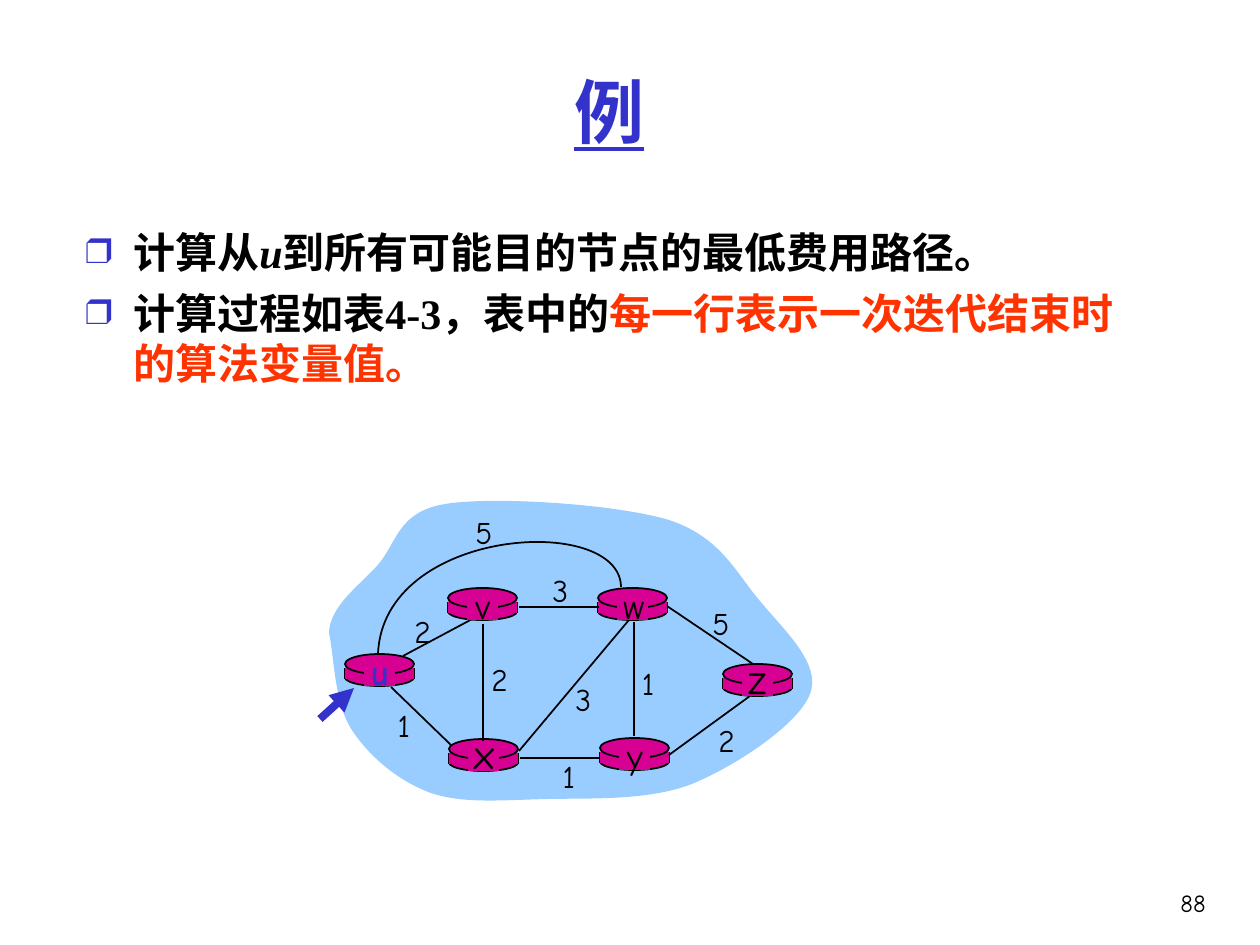
"""Build the slide showing the shortest-path example network."""
from dataclasses import dataclass
from typing import Any, NamedTuple

import pptx
import pptx.dml.color
import pptx.enum.shapes
import pptx.enum.text
import pptx.oxml
import pptx.oxml.ns
import pptx.util

SCALE = 914400 / 126
SHAPE = pptx.enum.shapes.MSO_SHAPE
ALIGN = pptx.enum.text.PP_ALIGN
ANCHOR = pptx.enum.text.MSO_ANCHOR
NS = pptx.oxml.ns.nsdecls("a")


@dataclass(frozen=True)
class Theme:
    black: str = "000000"
    blue: str = "3333CC"
    red: str = "FF3300"
    cloud: str = "99CCFF"
    router: str = "D60093"
    serif: str = "Times New Roman"
    comic: str = "Comic Neue"
    title: int = 40
    body: int = 24
    cost: int = 18
    number: int = 14
    thin: float = 1
    thick: float = 4.5


T = Theme()


class Router(NamedTuple):
    name: str
    x: int
    y: int
    size: int = 20


class Edge(NamedTuple):
    x1: int
    y1: int
    x2: int
    y2: int


class Cost(NamedTuple):
    text: str
    center: int
    top: int


class Piece(NamedTuple):
    text: str
    color: str = T.black
    italic: bool = False


ROUTERS = [
    Router("u", 345, 654), Router("x", 449, 739, 24), Router("v", 448, 588),
    Router("w", 598, 588), Router("y", 600, 738), Router("z", 723, 664, 24),
]
EDGE_UV = Edge(403, 656, 478, 616)
EDGES = [
    Edge(634, 622, 634, 736), Edge(483, 624, 483, 741),
    Edge(519, 751, 629, 620), Edge(669, 755, 750, 696),
    Edge(600, 758, 520, 758), Edge(451, 745, 391, 687),
    Edge(599, 607, 519, 607), Edge(753, 664, 667, 606),
]
COSTS = [
    Cost("2", 422, 606), Cost("2", 499, 654), Cost("1", 404, 700),
    Cost("3", 583, 674), Cost("1", 569, 751), Cost("1", 648, 658),
    Cost("2", 726, 715), Cost("5", 720, 598), Cost("3", 560, 565),
    Cost("5", 483, 507),
]
CLOUD = [
    (329, 633), (330, 606), (358, 587), (377, 566), (397, 544), (397, 512),
    (445, 504), (494, 496), (616, 504), (669, 520), (721, 537), (736, 573),
    (760, 601), (784, 630), (822, 664), (810, 694), (799, 724), (736, 766),
    (692, 784), (648, 801), (590, 798), (547, 799), (503, 800), (464, 804),
    (431, 793), (398, 781), (369, 756), (352, 730), (334, 703), (334, 653),
    (329, 633),
]
ARC_UW = [(621, 587), (620, 513), (383, 527), (378, 654)]
BODY = [
    [Piece("计算从"), Piece("u", italic=True),
     Piece("到所有可能目的节点的最低费用路径。")],
    [Piece("计算过程如表4-3，表中的"),
     Piece("每一行表示一次迭代结束时的算法变量值。", T.red)],
]


def px(n: float) -> int:
    return round(n * SCALE)


def rgb(color: str) -> pptx.dml.color.RGBColor:
    return pptx.dml.color.RGBColor.from_string(color)


def style_font(font: Any, name: str, size: int, color: str, bold: bool = False) -> None:
    font.name, font.size, font.bold = name, pptx.util.Pt(size), bold
    font.color.rgb = rgb(color)


def paint(sp: Any, fill: str | None = None, line: str | None = None) -> None:
    sp.shadow.inherit = False
    if fill:
        sp.fill.solid()
        sp.fill.fore_color.rgb = rgb(fill)
    else:
        sp.fill.background()
    if line:
        sp.line.color.rgb = rgb(line)
        sp.line.width = pptx.util.Pt(T.thin)
    else:
        sp.line.fill.background()


def add_solid(s: Any, kind: Any, x: int, y: int, w: int, h: int, line: str | None = None) -> None:
    paint(s.shapes.add_shape(kind, px(x), px(y), px(w), px(h)), T.router, line)


def add_line(s: Any, edge: Edge, color: str = T.black, width: float = T.thin) -> Any:
    sp = s.shapes.add_connector(
        pptx.enum.shapes.MSO_CONNECTOR.STRAIGHT, *(px(n) for n in edge))
    sp.line.color.rgb = rgb(color)
    sp.line.width = pptx.util.Pt(width)
    sp._element.spPr.append(pptx.oxml.parse_xml(f"<a:effectLst {NS}/>"))
    return sp


def add_curve(s: Any, nodes: list[tuple[int, int]], closed: bool) -> Any:
    points = [(px(x), px(y)) for x, y in nodes]
    builder = s.shapes.build_freeform(*points[0])
    builder.add_line_segments(points[1:], close=closed)
    sp = builder.convert_to_shape()
    segments = list(sp._element.iter(pptx.oxml.ns.qn("a:lnTo")))
    for i in range(0, len(nodes) - 1, 3):
        curve = pptx.oxml.parse_xml(f"<a:cubicBezTo {NS}/>")
        segments[i].addprevious(curve)
        for segment in segments[i:i + 3]:
            curve.append(segment[0])
            segment.getparent().remove(segment)
    return sp


def add_text(s: Any, x: int, y: int, w: int, h: int, text: str, align: Any,
             font: str, size: int, color: str = T.black, bold: bool = False,
             wrap: bool = False) -> Any:
    tf = s.shapes.add_textbox(px(x), px(y), px(w), px(h)).text_frame
    tf.word_wrap = wrap
    tf.text = text
    p = tf.paragraphs[0]
    p.alignment = align
    style_font(p.runs[0].font, font, size, color, bold)
    return tf


def add_body(s: Any) -> None:
    tf = s.shapes.add_textbox(px(73), px(220), px(1071), px(640)).text_frame
    tf.word_wrap = True
    for i, pieces in enumerate(BODY):
        p = tf.add_paragraph() if i else tf.paragraphs[0]
        pPr = p._p.get_or_add_pPr()
        pPr.set("marL", str(px(48)))
        pPr.set("indent", str(px(-48)))
        if i:
            p.space_before = pptx.util.Pt(6)
        for xml in (f'<a:buClr {NS}><a:srgbClr val="{T.blue}"/></a:buClr>',
                    f'<a:buSzPct {NS} val="85000"/>',
                    f'<a:buFont {NS} typeface="{T.serif}"/>',
                    f'<a:buChar {NS} char="❒"/>'):
            pPr.append(pptx.oxml.parse_xml(xml))
        for piece in pieces:
            r = p.add_run()
            r.text = piece.text
            style_font(r.font, T.serif, T.body, piece.color, True)
            r.font.italic = piece.italic


def add_router(s: Any, router: Router) -> None:
    x, y = router.x, router.y
    add_solid(s, SHAPE.OVAL, x, y + 15, 69, 17, T.black)
    for side in (x, x + 69):
        add_line(s, Edge(side, y + 14, side, y + 25))
    add_solid(s, SHAPE.RECTANGLE, x, y + 14, 69, 11)
    add_solid(s, SHAPE.OVAL, x, y, 69, 20, T.black)


def add_router_name(s: Any, router: Router) -> None:
    x, y, start = router.x, router.y, router.name == "u"
    add_solid(s, SHAPE.RECTANGLE, x + 19, y + 3, 31, 29)
    top, height = (y - 18, 63) if router.size == 24 else (y - 10, 55)
    add_text(s, x + 13, top, 44, height, router.name, ALIGN.CENTER, T.comic,
             router.size, T.blue if start else T.black, start)


def main() -> None:
    prs = pptx.Presentation()
    prs.slide_width, prs.slide_height = px(1260), px(945)
    s = prs.slides.add_slide(prs.slide_layouts[6])
    add_text(s, 1125, 882, 93, 63, "88", ALIGN.RIGHT, T.comic, T.number, wrap=True)
    tf = add_text(s, 74, 32, 1071, 157, "例", ALIGN.CENTER, T.serif, T.title,
                  T.blue, True, True)
    tf.vertical_anchor = ANCHOR.MIDDLE
    tf.paragraphs[0].runs[0].font.underline = True
    add_body(s)
    paint(add_curve(s, CLOUD, True), T.cloud)
    add_line(s, EDGE_UV)
    for router in ROUTERS:
        add_router(s, router)
    for edge in EDGES:
        add_line(s, edge)
    paint(add_curve(s, ARC_UW, False), line=T.black)
    for router in ROUTERS:
        add_router_name(s, router)
    for cost in COSTS:
        add_text(s, cost.center - 20, cost.top, 40, 50, cost.text, ALIGN.CENTER,
                 T.comic, T.cost)
    arrow = add_line(s, Edge(320, 719, 354, 688), T.blue, T.thick)
    arrow.line._get_or_add_ln().append(pptx.oxml.parse_xml(
        f'<a:tailEnd {NS} type="triangle"/>'))
    prs.save("out.pptx")


if __name__ == "__main__":
    main()
